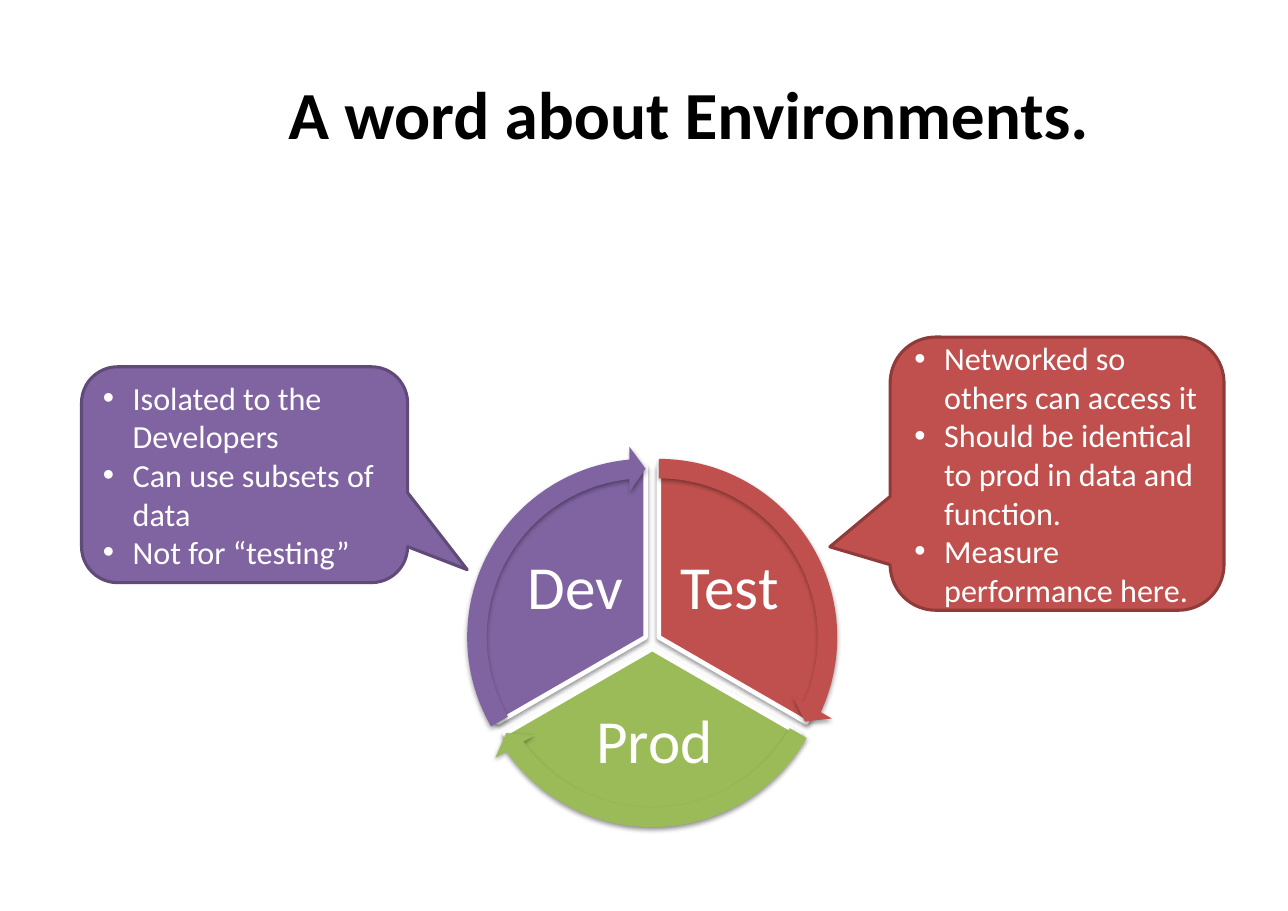
from math import cos, radians, sin

from lxml import etree
from pptx import Presentation
from pptx.dml.color import RGBColor
from pptx.enum.shapes import MSO_SHAPE
from pptx.enum.text import MSO_ANCHOR, PP_ALIGN
from pptx.oxml.ns import qn
from pptx.util import Inches, Pt

PIE, ARROW = MSO_SHAPE.PIE, MSO_SHAPE.CIRCULAR_ARROW
CALLOUT = MSO_SHAPE.ROUNDED_RECTANGULAR_CALLOUT
MIDDLE, CENTER, LEFT = MSO_ANCHOR.MIDDLE, PP_ALIGN.CENTER, PP_ALIGN.LEFT

TITLE = "A word about Environments."
FONT = "Calibri"
COLORS = {
    "red": "C0504D", "green": "9BBB59", "purple": "8064A2",
    "dark_red": "8E3B39", "dark_purple": "5F4A78",
    "white": "FFFFFF", "black": "000000",
}
# label, colour, start and end angle in degrees, label box
SLICES = [
    ("Test", "red", 270, 30, (6.07, 4.89, 1.1, 0.92)),
    ("Prod", "green", 30, 150, (5.11, 6.35, 1.66, 0.81)),
    ("Dev", "purple", 150, 270, (4.67, 4.89, 1.1, 0.92)),
]
# colour, outline, box, callout adjustments, bullets
CALLOUTS = [
    ("purple", "dark_purple", (0.74, 3.33, 2.96, 1.96), (0.683, 0.44, 0.167),
     ["Isolated to the Developers", "Can use subsets of data",
      "Not for \u201ctesting\u201d"]),
    ("red", "dark_red", (8.08, 3.06, 3.03, 2.48), (-0.681, 0.268, 0.167),
     ["Networked so others can access it",
      "Should be identical to prod in data and function.",
      "Measure performance here."]),
]
HUB = (5.92, 5.82)
GAP = 0.07
PIE_SIZE, ARROW_SIZE = 3.09, 3.47
HEAD_ANGLE = 5.46
ANGLE_UNIT = 0.6  # adjustment units per degree


def rgb(name):
    """Look up a palette colour."""
    return RGBColor.from_string(COLORS[name])


def box(left, top, width, height):
    """Convert a box in inches to lengths."""
    return [Inches(v) for v in (left, top, width, height)]


def add_run(p, text, size, color="white", bold=False):
    """Add one formatted run to a paragraph."""
    r = p.add_run()
    r.text = text
    r.font.name, r.font.size, r.font.bold = FONT, Pt(size), bold
    r.font.color.rgb = rgb(color)


def add_filled(shapes, kind, place, fill, adjustments, line=None, width=0):
    """Add a flat preset shape, outlined if a line colour is given."""
    sp = shapes.add_shape(kind, *box(*place))
    sp.shadow.inherit = False
    for i, value in enumerate(adjustments):
        sp.adjustments[i] = value
    sp.fill.solid()
    sp.fill.fore_color.rgb = rgb(fill)
    if line:
        sp.line.color.rgb = rgb(line)
        sp.line.width = Pt(width)
    else:
        sp.line.fill.background()
    return sp


def add_shadow(sp):
    """Give a shape a soft shadow straight below."""
    effects = sp._element.spPr.find(qn("a:effectLst"))
    shadow = etree.SubElement(
        effects, qn("a:outerShdw"), blurRad=str(Pt(3.1)), dist=str(Pt(1.6)),
        dir="5400000", rotWithShape="0")
    color = etree.SubElement(shadow, qn("a:srgbClr"), val=COLORS["black"])
    etree.SubElement(color, qn("a:alpha"), val="38000")


def slice_box(start, size):
    """Place a square pushed from the hub along the slice's bisector."""
    middle = radians(start + 60)
    x, y = HUB[0] + GAP * cos(middle), HUB[1] + GAP * sin(middle)
    return x - size / 2, y - size / 2, size, size


def add_label(shapes, text, place):
    """Add a centred slice label."""
    tf = shapes.add_textbox(*box(*place)).text_frame
    tf.word_wrap, tf.vertical_anchor = True, MIDDLE
    tf.margin_left = tf.margin_right = Inches(0.06)
    tf.margin_top = tf.margin_bottom = Inches(0.06)
    p = tf.paragraphs[0]
    p.alignment, p.line_spacing = CENTER, 0.9
    add_run(p, text, 40)


def add_cycle(slide):
    """Draw the slices with labels, then the arrows around them."""
    shapes = slide.shapes.add_group_shape().shapes
    for label, color, start, end, place in SLICES:
        angles = (start * ANGLE_UNIT, end * ANGLE_UNIT)
        add_shadow(add_filled(shapes, PIE, slice_box(start, PIE_SIZE), color,
                              angles, "white", 3))
        add_label(shapes, label, place)
    for _, color, start, end, _ in SLICES:
        adjustments = (0.051, HEAD_ANGLE * ANGLE_UNIT,
                       (end - HEAD_ANGLE) * ANGLE_UNIT, start * ANGLE_UNIT, 0.059)
        add_shadow(add_filled(shapes, ARROW, slice_box(start, ARROW_SIZE), color,
                              adjustments))


def add_callout(slide, fill, line, place, adjustments, bullets):
    """Add a speech callout with a bulleted list."""
    sp = add_filled(slide.shapes, CALLOUT, place, fill, adjustments, line, 2)
    tf = sp.text_frame
    tf.word_wrap, tf.vertical_anchor = True, MIDDLE
    for i, text in enumerate(bullets):
        p = tf.add_paragraph() if i else tf.paragraphs[0]
        p.alignment = LEFT
        pPr = p._p.get_or_add_pPr()
        pPr.set("marL", str(Inches(0.27)))
        pPr.set("indent", str(-Inches(0.27)))
        etree.SubElement(pPr, qn("a:buFont"), typeface="Arial")
        etree.SubElement(pPr, qn("a:buChar"), char="\u2022")
        add_run(p, text, 21)


def add_title(slide):
    """Place and format the title."""
    sp = slide.shapes.title
    sp.left, sp.top, sp.width, sp.height = box(1.41, 0.33, 9.69, 1.38)
    tf = sp.text_frame
    tf.word_wrap, tf.vertical_anchor = True, MIDDLE
    p = tf.paragraphs[0]
    p.alignment = CENTER
    add_run(p, TITLE, 44, "black", True)


prs = Presentation()
prs.slide_width, prs.slide_height = Inches(11.69), Inches(8.27)
slide = prs.slides.add_slide(prs.slide_layouts[5])
add_title(slide)
add_cycle(slide)
for callout in CALLOUTS:
    add_callout(slide, *callout)
prs.save("out.pptx")
